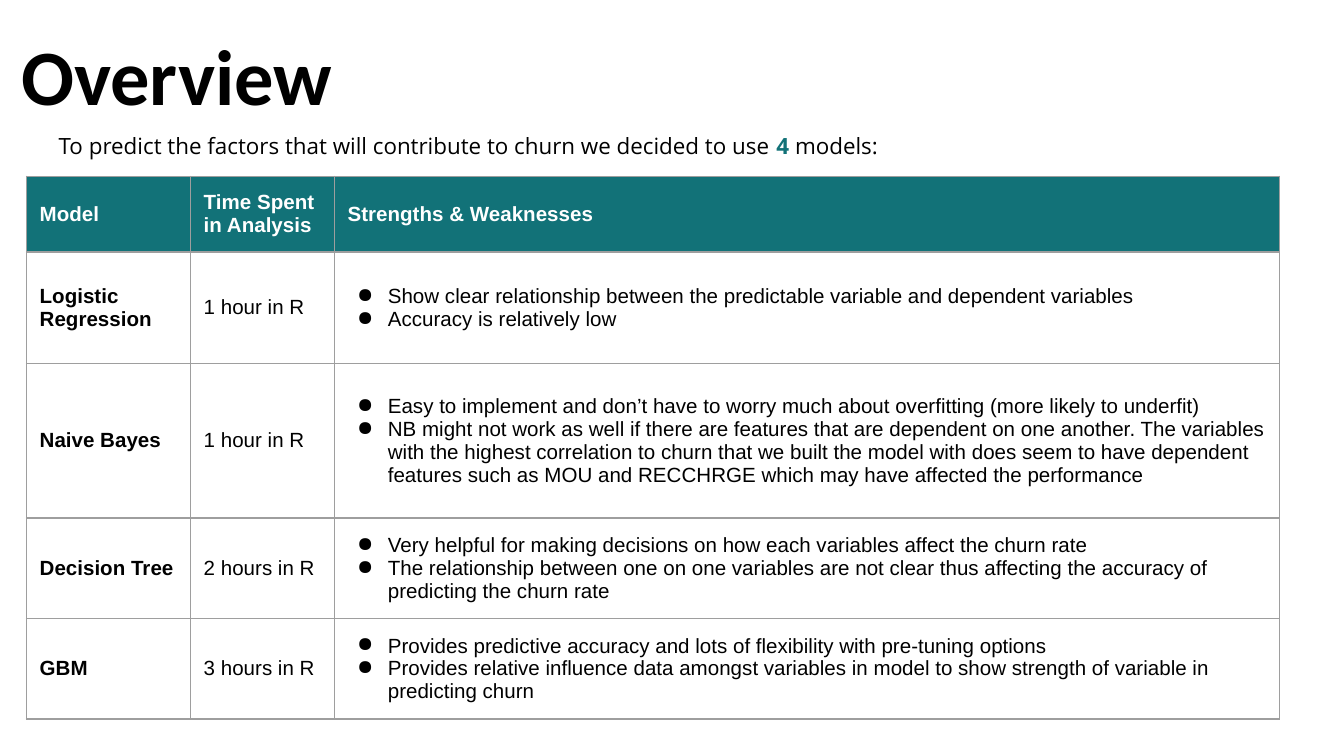
import pptx
import pptx.dml.color
import pptx.enum.text
import pptx.oxml
import pptx.oxml.ns
import pptx.util

Cm, Pt = pptx.util.Cm, pptx.util.Pt
ANCHOR = pptx.enum.text.MSO_ANCHOR

# Content
TEAL, BLACK, WHITE, GREY = "127278", "000000", "FFFFFF", "9E9E9E"
TITLE = "Overview"
INTRO = [
    ("To predict the factors that will contribute to churn we decided to use ", BLACK, False),
    ("4", TEAL, True),
    (" models:", BLACK, False),
]
HEADER = ("Model", "Time Spent in Analysis", ["Strengths & Weaknesses"])
MODELS = [
    ("Logistic Regression", "1 hour in R", [
        "Show clear relationship between the predictable variable and dependent variables",
        "Accuracy is relatively low"]),
    ("Naive Bayes", "1 hour in R", [
        "Easy to implement and don’t have to worry much about overfitting (more likely to underfit)",
        "NB might not work as well if there are features that are dependent on one another. "
        "The variables with the highest correlation to churn that we built the model with does "
        "seem to have dependent features such as MOU and RECCHRGE which may have affected "
        "the performance"]),
    ("Decision Tree", "2 hours in R", [
        "Very helpful for making decisions on how each variables affect the churn rate",
        "The relationship between one on one variables are not clear thus affecting the "
        "accuracy of predicting the churn rate"]),
    ("GBM", "3 hours in R", [
        "Provides predictive accuracy and lots of flexibility with pre-tuning options",
        "Provides relative influence data amongst variables in model to show strength of "
        "variable in predicting churn"]),
]

# Layout in centimetres
COLS = (3.1, 2.72, 17.86)
ROWS = (1.37, 2.11, 2.92, 1.8, 1.8)
MARGINS = {f"margin_{side}": Cm(0.25) for side in ("left", "right", "top", "bottom")}


def rgb(color):
    return pptx.dml.color.RGBColor.from_string(color)


def set_attrs(obj, values):
    for name, value in values.items():
        setattr(obj, name, value)


def add_run(p, text, font, size, color, bold):
    r = p.add_run()
    r.text = text
    set_attrs(r.font, {"name": font, "size": Pt(size), "bold": bold})
    r.font.color.rgb = rgb(color)


def add_text(s, left, top, width, height, anchor):
    tf = s.shapes.add_textbox(Cm(left), Cm(top), Cm(width), Cm(height)).text_frame
    set_attrs(tf, {"word_wrap": True, "vertical_anchor": anchor, **MARGINS})
    return tf.paragraphs[0]


def add_xml(parent, xml):
    ns = pptx.oxml.ns.nsdecls("a")
    parent.append(pptx.oxml.parse_xml(xml.replace(" ", f" {ns} ", 1)))


def add_bullet(p):
    pPr = p._p.get_or_add_pPr()
    pPr.set("marL", str(Cm(0.76)))
    pPr.set("indent", str(-Cm(0.58)))
    add_xml(pPr, f'<a:buClr ><a:srgbClr val="{BLACK}"/></a:buClr>')
    add_xml(pPr, '<a:buChar char="●"/>')


def add_borders(cell):
    tcPr = cell._tc.get_or_add_tcPr()
    for i, side in enumerate("LRTB"):
        add_xml(tcPr, f'<a:ln{side} w="{Pt(0.75)}"><a:solidFill><a:srgbClr val="{GREY}"/>'
                      f'</a:solidFill></a:ln{side}>')
        tcPr.insert(i, tcPr[-1])  # borders come before the fill


def fill_cell(cell, content, header, bold):
    set_attrs(cell, {"vertical_anchor": ANCHOR.MIDDLE, **MARGINS})
    if header:
        cell.fill.solid()
        cell.fill.fore_color.rgb = rgb(TEAL)
    else:
        cell.fill.background()
    add_borders(cell)
    tf = cell.text_frame
    bulleted = isinstance(content, list) and not header
    for i, text in enumerate(content if isinstance(content, list) else [content]):
        p = tf.add_paragraph() if i else tf.paragraphs[0]
        if bulleted:
            add_bullet(p)
        add_run(p, text, "Arial", 11, WHITE if header else BLACK, bold)


prs = pptx.Presentation()
set_attrs(prs, {"slide_width": Cm(25.4), "slide_height": Cm(14.29)})
s = prs.slides.add_slide(prs.slide_layouts[6])

# Title
p = add_text(s, 0.15, 0.23, 23.67, 2.31, ANCHOR.BOTTOM)
add_run(p, TITLE, "Calibri", 42, BLACK, True)

# Model table
table = s.shapes.add_table(len(ROWS), len(COLS), Cm(0.5), Cm(3.33),
                           Cm(sum(COLS)), Cm(sum(ROWS))).table
set_attrs(table, {"first_row": False, "horz_banding": False})
for col, width in zip(table.columns, COLS):
    col.width = Cm(width)
for i, (height, record) in enumerate(zip(ROWS, [HEADER] + MODELS)):
    table.rows[i].height = Cm(height)
    for j, content in enumerate(record):
        fill_cell(table.cell(i, j), content, header=i == 0, bold=i == 0 or j == 0)

# Introduction
p = add_text(s, 0.86, 2.18, 23.67, 1.3, ANCHOR.TOP)
set_attrs(p, {"line_spacing": 1.15, "space_after": Pt(12)})
for text, color, bold in INTRO:
    add_run(p, text, "Open Sans", 12, color, bold)

prs.save("out.pptx")
